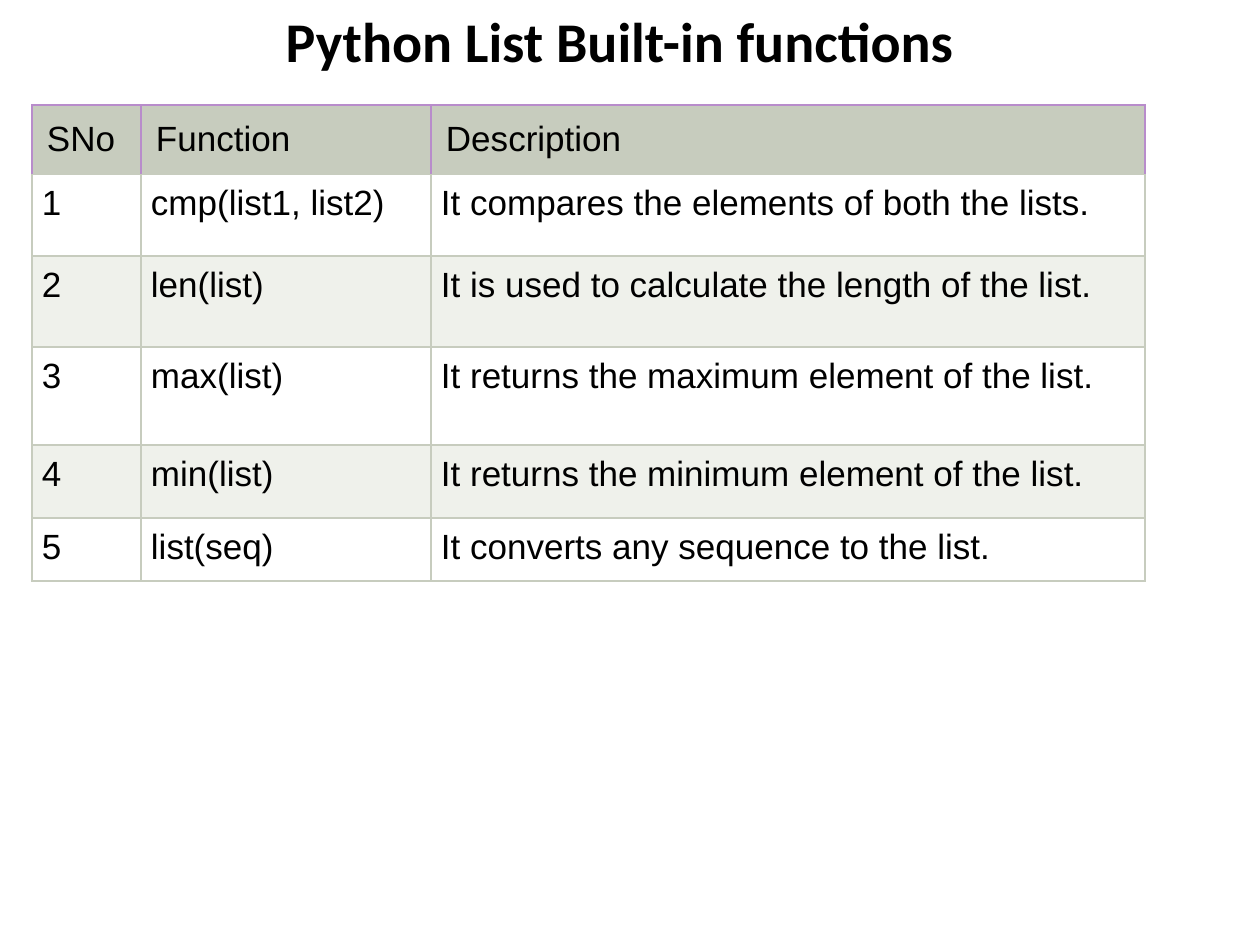
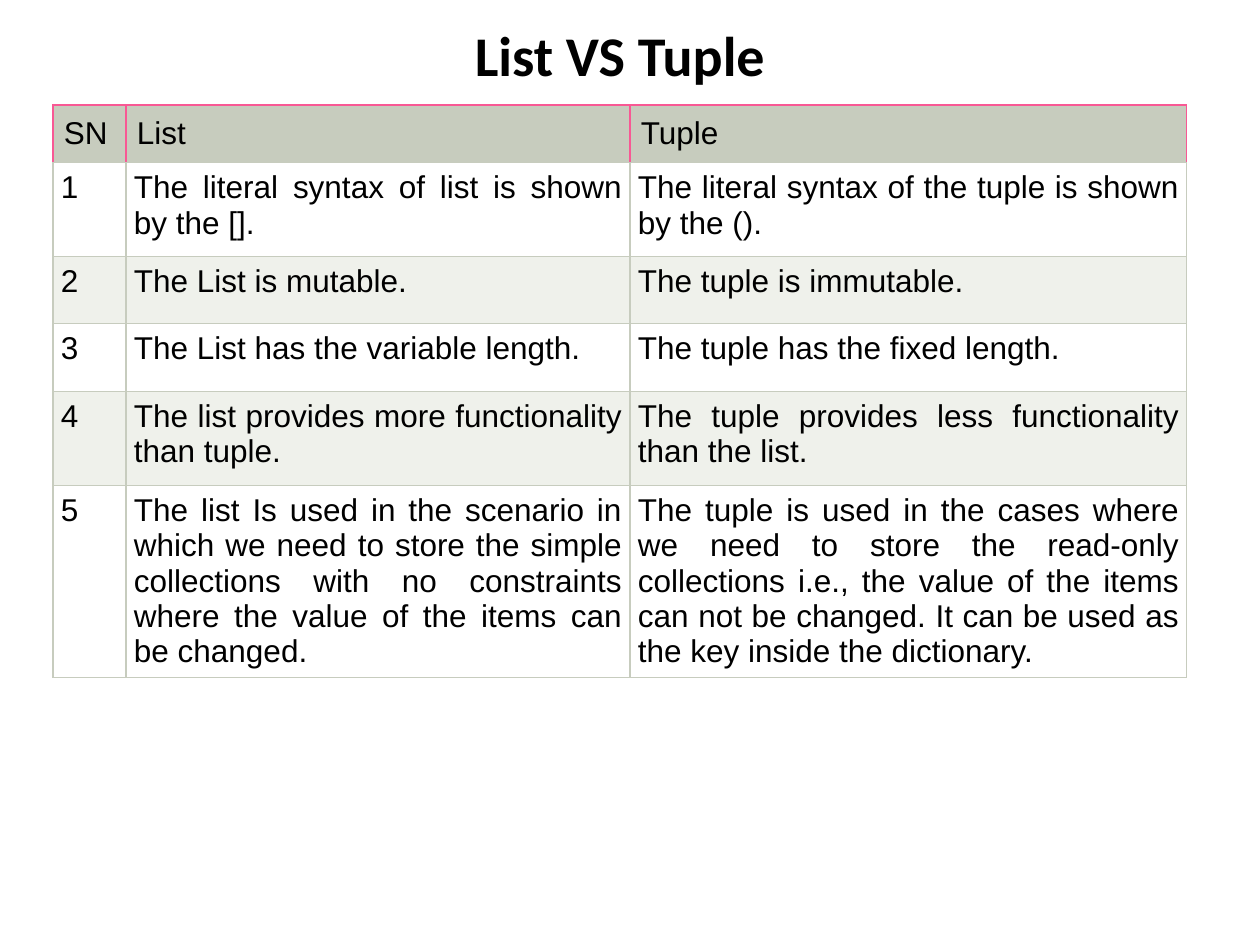
from lxml import etree
from pptx import Presentation
from pptx import util as u
from pptx.dml.color import RGBColor
from pptx.enum import text
from pptx.oxml import ns

PX = 914400 / 126  # EMU in one px
HUES = {"ink": "000000", "head": "C7CCBE", "band": "EFF1EB", "plain": "FFFFFF",
        "violet": "B88CCB", "pink": "F85894"}

PAGES = [
    dict(title="Python List Built-in functions", box=(53, 4, 1134, 73),
         left=32, cols=[109, 290, 714], tall=[69, 82, 91, 98, 73, 63],
         size=20, pads=(15, 10), edge="violet", align=text.PP_ALIGN.LEFT,
         rows=[
             ("SNo", "Function", "Description"),
             ("1", "cmp(list1, list2)", "It compares the elements of both the lists."),
             ("2", "len(list)", "It is used to calculate the length of the list."),
             ("3", "max(list)", "It returns the maximum element of the list."),
             ("4", "min(list)", "It returns the minimum element of the list."),
             ("5", "list(seq)", "It converts any sequence to the list."),
         ]),
    dict(title="List VS Tuple", box=(53, 3, 1134, 102),
         left=53, cols=[73, 504, 557], tall=[57, 94, 67, 68, 94, 191],
         size=18, pads=(11, 8), edge="pink", align=text.PP_ALIGN.JUSTIFY,
         rows=[
             ("SN", "List", "Tuple"),
             ("1", "The literal syntax of list is shown by the [].",
              "The literal syntax of the tuple is shown by the ()."),
             ("2", "The List is mutable.", "The tuple is immutable."),
             ("3", "The List has the variable length.", "The tuple has the fixed length."),
             ("4", "The list provides more functionality than tuple.",
              "The tuple provides less functionality than the list."),
             ("5", "The list Is used in the scenario in which we need to store the simple "
              "collections with no constraints where the value of the items can be changed.",
              "The tuple is used in the cases where we need to store the read-only "
              "collections i.e., the value of the items can not be changed. "
              "It can be used as the key inside the dictionary."),
         ]),
]
TOP = 105


def px(n):
    return u.Emu(round(n * PX))


def write(para, words, font, size, align, bold=False):
    para.alignment = align
    run = para.add_run()
    run.text = words
    run.font.name, run.font.size, run.font.bold = font, u.Pt(size), bold
    run.font.color.rgb = RGBColor.from_string(HUES["ink"])


deck = Presentation()
deck.slide_width, deck.slide_height = u.Inches(10), u.Inches(7.5)

for page in PAGES:
    slide = deck.slides.add_slide(deck.slide_layouts[5])
    title = slide.shapes.title
    title.left, title.top, title.width, title.height = map(px, page["box"])
    frame = title.text_frame
    frame.auto_size = text.MSO_AUTO_SIZE.NONE
    frame.vertical_anchor = text.MSO_ANCHOR.MIDDLE
    write(frame.paragraphs[0], page["title"], "Calibri", 32, text.PP_ALIGN.CENTER, True)

    cols, tall = page["cols"], page["tall"]
    table = slide.shapes.add_table(len(tall), len(cols), px(page["left"]), px(TOP),
                                   px(sum(cols)), px(sum(tall))).table
    table.first_row = table.horz_banding = False
    for col, wide in zip(table.columns, cols):
        col.width = px(wide)

    for r, words in enumerate(page["rows"]):
        table.rows[r].height = px(tall[r])
        pad = px(page["pads"][min(r, 1)])
        fill = "head" if r == 0 else "plain" if r % 2 else "band"
        for c, word in enumerate(words):
            cell = table.cell(r, c)
            cell.margin_left = cell.margin_right = pad
            cell.margin_top = cell.margin_bottom = pad
            props = cell._tc.get_or_add_tcPr()
            for side in "LRTB":
                hue = page["edge"] if r == 0 and side != "B" else "head"
                line = etree.SubElement(props, ns.qn("a:ln" + side), w=str(u.Pt(0.75)))
                paint = etree.SubElement(line, ns.qn("a:solidFill"))
                etree.SubElement(paint, ns.qn("a:srgbClr"), val=HUES[hue])
            cell.fill.solid()
            cell.fill.fore_color.rgb = RGBColor.from_string(HUES[fill])
            write(cell.text_frame.paragraphs[0], word, "Arial", page["size"], page["align"])

deck.save("out.pptx")
